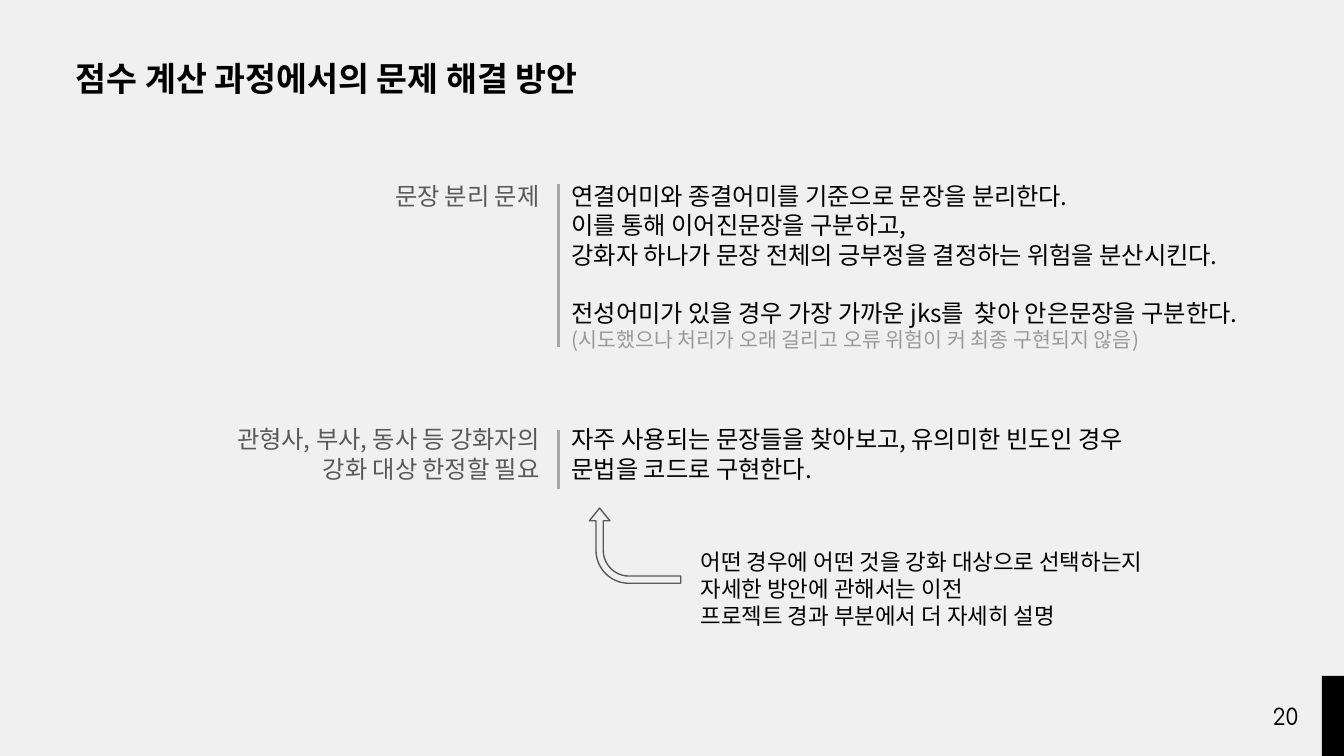
from lxml import etree
from pptx import Presentation, util as u
from pptx.dml.color import RGBColor
from pptx.enum import shapes, text
from pptx.oxml.ns import qn

# The slide is a grid of square cells, 100 columns by 56.25 rows.
CELL = 0.1
COLUMNS, ROWS = 100, 56.25
DIVIDER = 41.55
COLORS = {
    "background": "F0F0F0",
    "ink": "000000",
    "problem": "595959",
    "aside": "999999",
    "divider": "A7A7A7",
}
KOREAN, NUMERAL = "Noto Sans CJK KR", "Comfortaa"
BODY = 13


def cells(count):
    return u.Inches(count * CELL)


def rgb(name):
    return RGBColor.from_string(COLORS[name])


def style(paragraph, size, color, face, bold, align):
    paragraph.alignment = align
    font = paragraph.font
    font.size, font.bold, font.name = u.Pt(size), bold, face
    font.color.rgb = rgb(color)
    defaults = paragraph._p.pPr.find(qn("a:defRPr"))
    etree.SubElement(defaults, qn("a:ea")).set("typeface", face)


def add_text(slide, box, lines, size=BODY, color="ink", face=KOREAN, bold=False,
             align=text.PP_ALIGN.LEFT, anchor=text.MSO_ANCHOR.TOP):
    """Set lines in a box of (left, top, width, height) cells; return the paragraphs."""
    frame = slide.shapes.add_textbox(*map(cells, box)).text_frame
    frame.word_wrap = True
    frame.vertical_anchor = anchor
    frame.margin_left = frame.margin_right = cells(1)
    frame.margin_top = frame.margin_bottom = cells(1)
    for index, line in enumerate(lines):
        paragraph = frame.paragraphs[0] if index == 0 else frame.add_paragraph()
        paragraph.add_run().text = line
        style(paragraph, size, color, face, bold, align)
    return frame.paragraphs


def add_divider(slide, top, height):
    divider = slide.shapes.add_connector(
        shapes.MSO_CONNECTOR.STRAIGHT,
        *map(cells, (DIVIDER, top, DIVIDER, top + height)))
    divider.line.color.rgb = rgb("divider")
    divider.line.width = u.Pt(1.5)
    etree.SubElement(divider._element.spPr, qn("a:effectLst"))


def add_solution(slide, box, problem, solution, rule):
    """Put the problem left of a divider and its solution right of it.

    rule is the divider's (offset from the box top, height).
    """
    left, top, width, height = box
    add_text(slide, (left, top, DIVIDER - 0.43 - left, height), problem,
             color="problem", align=text.PP_ALIGN.RIGHT)
    answers = add_text(slide, (DIVIDER, top, left + width - DIVIDER, height), solution)
    add_divider(slide, top + rule[0], rule[1])
    return answers


def add_aside(paragraph, words):
    aside = paragraph.add_run()
    aside.text = words
    aside.font.size = u.Pt(11)
    aside.font.color.rgb = rgb("aside")


def add_explanation(slide, box, lines):
    """Bent arrow up to the solution above, with the note at its tail."""
    left, top, width, height = box
    arrow = slide.shapes.add_shape(
        shapes.MSO_SHAPE.BENT_ARROW, *map(cells, (left, top, 5.6, 6.8)))
    arrow.rotation = 270
    arrow.shadow.inherit = False
    for index, share in enumerate((0.097, 0.137, 0.169, 0.438)):
        arrow.adjustments[index] = share
    arrow.fill.solid()
    arrow.fill.fore_color.rgb = rgb("background")
    arrow.line.color.rgb = rgb("problem")
    arrow.line.width = u.Pt(0.75)
    add_text(slide, (left + 6.7, top + 2.6, width - 6.7, height - 2.6), lines, size=12)


def add_page_mark(slide, number):
    width, height = 1.65, 5.95
    mark = slide.shapes.add_shape(
        shapes.MSO_SHAPE.RECTANGLE,
        *map(cells, (COLUMNS - width, ROWS - height, width, height)))
    mark.shadow.inherit = False
    mark.fill.solid()
    mark.fill.fore_color.rgb = rgb("ink")
    mark.line.fill.background()
    add_text(slide, (92.65, 51.15, 6, 4.3), [number], size=12, face=NUMERAL,
             align=text.PP_ALIGN.CENTER, anchor=text.MSO_ANCHOR.MIDDLE)


def main():
    deck = Presentation()
    deck.slide_width, deck.slide_height = cells(COLUMNS), cells(ROWS)
    slide = deck.slides.add_slide(deck.slide_layouts[6])
    slide.background.fill.solid()
    slide.background.fill.fore_color.rgb = rgb("background")

    add_page_mark(slide, "20")
    add_text(slide, (4.65, 3.3, 73, 5), ["점수 계산 과정에서의 문제 해결 방안"],
             size=18, bold=True)
    splitting = add_solution(
        slide, (8.5, 12.5, 87.25, 14.8),
        ["문장 분리 문제"],
        ["연결어미와 종결어미를 기준으로 문장을 분리한다.",
         "이를 통해 이어진문장을 구분하고,",
         "강화자 하나가 문장 전체의 긍부정을 결정하는 위험을 분산시킨다.",
         "전성어미가 있을 경우 가장 가까운 jks를  찾아 안은문장을 구분한다."],
        rule=(1.2, 12.1))
    splitting[-1].space_before = u.Pt(BODY * 1.2)
    add_aside(splitting[-1], " (시도했으나 처리가 오래 걸리고 오류 위험이 커 최종 구현되지 않음)")
    add_solution(
        slide, (7, 30.6, 88.75, 6.4),
        ["관형사, 부사, 동사 등 강화자의", "강화 대상 한정할 필요"],
        ["자주 사용되는 문장들을 찾아보고, 유의미한 빈도인 경우",
         "문법을 코드로 구현한다."],
        rule=(1.4, 4.4))
    add_explanation(
        slide, (44.45, 37.2, 48.2, 10.7),
        ["어떤 경우에 어떤 것을 강화 대상으로 선택하는지",
         "자세한 방안에 관해서는 이전",
         "프로젝트 경과 부분에서 더 자세히 설명"])
    deck.save("out.pptx")


if __name__ == "__main__":
    main()
